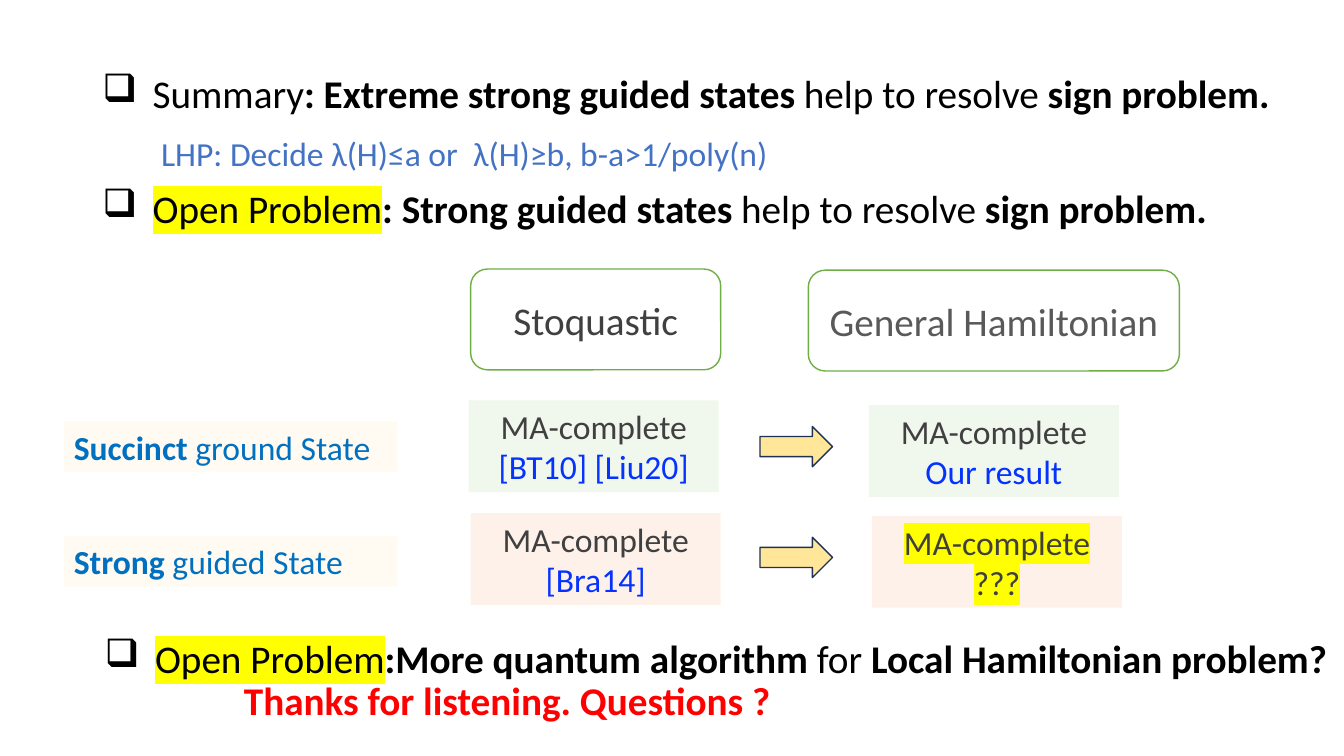
from dataclasses import dataclass

from lxml import etree
from pptx import Presentation
from pptx import util as u
from pptx.dml.color import RGBColor
from pptx.enum import shapes, text
from pptx.oxml import ns


@dataclass(frozen=True)
class Theme:
    font: str = "Calibri"
    large: int = 28
    medium: int = 24
    black: str = "000000"
    white: str = "FFFFFF"
    dark: str = "404040"
    grey: str = "595959"
    note: str = "4472C4"
    label: str = "0070C0"
    citation: str = "0432FF"
    thanks: str = "FF0000"
    highlight: str = "FFFF00"
    header_line: str = "70AD47"
    label_fill: str = "FFF2CC"
    succinct_fill: str = "C5E0B4"
    strong_fill: str = "F8CBAD"
    arrow_fill: str = "FFE699"
    arrow_line: str = "1E3256"
    tint: int = 25000


class SlideBuilder:
    """Holds the theme and the current slide.

    A paragraph is (runs, colour); a run is (words, marks),
    where marks may hold "b" for bold and "h" for highlighted.
    """

    def __init__(self, slide, theme):
        self.slide = slide
        self.theme = theme

    def set_text(self, frame, paragraphs, size, align=text.PP_ALIGN.LEFT):
        frame.word_wrap = True
        frame.vertical_anchor = text.MSO_ANCHOR.MIDDLE
        for index, (runs, colour) in enumerate(paragraphs):
            paragraph = frame.paragraphs[0] if index == 0 else frame.add_paragraph()
            paragraph.alignment = align
            paragraph.font.name = self.theme.font
            paragraph.font.size = u.Pt(size)
            paragraph.font.color.rgb = RGBColor.from_string(colour)
            for words, marks in runs:
                run = paragraph.add_run()
                run.text = words
                run.font.bold = "b" in marks
                if "h" in marks:
                    self.highlight(run)

    def highlight(self, run):
        mark = etree.SubElement(run._r.get_or_add_rPr(), ns.qn("a:highlight"))
        etree.SubElement(mark, ns.qn("a:srgbClr"), val=self.theme.highlight)

    def text_box(self, box, paragraphs, size):
        frame = self.slide.shapes.add_textbox(*map(u.Pt, box)).text_frame
        self.set_text(frame, paragraphs, size)
        return frame

    def bullet(self, box, runs, closing=None):
        """A bulleted statement, with an optional indented closing line."""
        paragraphs = [(runs, self.theme.black)]
        if closing:
            paragraphs.append(([(closing, "b")], self.theme.thanks))
        frame = self.text_box(box, paragraphs, self.theme.large)
        for paragraph, margin, indent in zip(frame.paragraphs, (36, 99.5), (-36, 0)):
            paragraph.line_spacing = 0.9
            props = paragraph._p.get_or_add_pPr()
            props.set("marL", str(u.Pt(margin)))
            props.set("indent", str(u.Pt(indent)))
            if indent:
                mark = etree.Element(ns.qn("a:buChar"), char="❑")
                props.find(ns.qn("a:defRPr")).addprevious(mark)

    def shape(self, kind, box, fill, line=None, tint=None):
        item = self.slide.shapes.add_shape(kind, *map(u.Pt, box))
        item.shadow.inherit = False
        item.fill.solid()
        item.fill.fore_color.rgb = RGBColor.from_string(fill)
        if tint:
            colour = item._element.spPr.find(f".//{ns.qn('a:srgbClr')}")
            etree.SubElement(colour, ns.qn("a:alpha"), val=str(tint))
        if line:
            item.line.color.rgb = RGBColor.from_string(line)
            item.line.width = u.Pt(1)
        else:
            item.line.fill.background()
        return item

    def header(self, box, words, colour):
        item = self.shape(shapes.MSO_SHAPE.ROUNDED_RECTANGLE, box,
                          self.theme.white, self.theme.header_line)
        self.set_text(item.text_frame, [([(words, "")], colour)],
                      self.theme.large, text.PP_ALIGN.CENTER)

    def panel(self, box, fill, paragraphs, align=text.PP_ALIGN.CENTER):
        item = self.shape(shapes.MSO_SHAPE.RECTANGLE, box, fill, tint=self.theme.tint)
        self.set_text(item.text_frame, paragraphs, self.theme.medium, align)

    def arrow(self, box):
        self.shape(shapes.MSO_SHAPE.RIGHT_ARROW, box,
                   self.theme.arrow_fill, self.theme.arrow_line)


def main():
    deck = Presentation()
    deck.slide_width, deck.slide_height = u.Pt(960), u.Pt(540)
    theme = Theme()
    page = SlideBuilder(deck.slides.add_slide(deck.slide_layouts[6]), theme)

    # Summary and first open problem
    shared_end = [("help to resolve ", ""), ("sign problem.", "b")]
    page.bullet((66, 45.4, 894, 46),
                [("Summary", ""), (": Extreme strong guided states ", "b")] + shared_end)
    page.text_box((108, 91.4, 480, 36),
                  [([("LHP: Decide λ(H)≤a or  λ(H)≥b, b-a>1/poly(n)", "")], theme.note)],
                  theme.medium)
    page.bullet((66, 127.4, 894, 46),
                [("Open Problem", "h"), (": Strong guided states ", "b")] + shared_end)

    # Column headers
    page.header((336.2, 192.2, 178.6, 72), "Stoquastic", theme.dark)
    page.header((577.4, 193, 265, 72), "General Hamiltonian", theme.grey)

    # Rows: label, its top, fill, arrow top, then each result with its corner
    rows = [
        (("Succinct ", "ground State"), 301, theme.succinct_fill, 304.6,
         [(334.8, 286, "[BT10] [Liu20]", theme.citation, ""),
          (620.6, 289.4, "Our result", theme.citation, "")]),
        (("Strong ", "guided State"), 383, theme.strong_fill, 383.8,
         [(336.2, 366.5, "[Bra14]", theme.citation, ""),
          (622.8, 368.6, "???", theme.dark, "h")]),
    ]
    for (kind, state), label_top, fill, arrow_top, results in rows:
        page.panel((45.6, label_top, 238.3, 36), theme.label_fill,
                   [([(kind, "b"), (state, "")], theme.label)], text.PP_ALIGN.LEFT)
        for left, top, finding, colour, marks in results:
            page.panel((left, top, 178.6, 65.5), fill,
                       [([("MA-complete", marks)], theme.dark),
                        ([(finding, marks)], colour)])
        page.arrow((542.9, arrow_top, 51.8, 28.8))

    # Second open problem and closing line
    page.bullet((67.7, 454.3, 894, 65.5),
                [("Open Problem", "h"), (":More quantum algorithm ", "b"),
                 ("for ", ""), ("Local Hamiltonian problem?", "b")],
                closing="Thanks for listening. Questions ?")

    deck.save("out.pptx")


if __name__ == "__main__":
    main()
